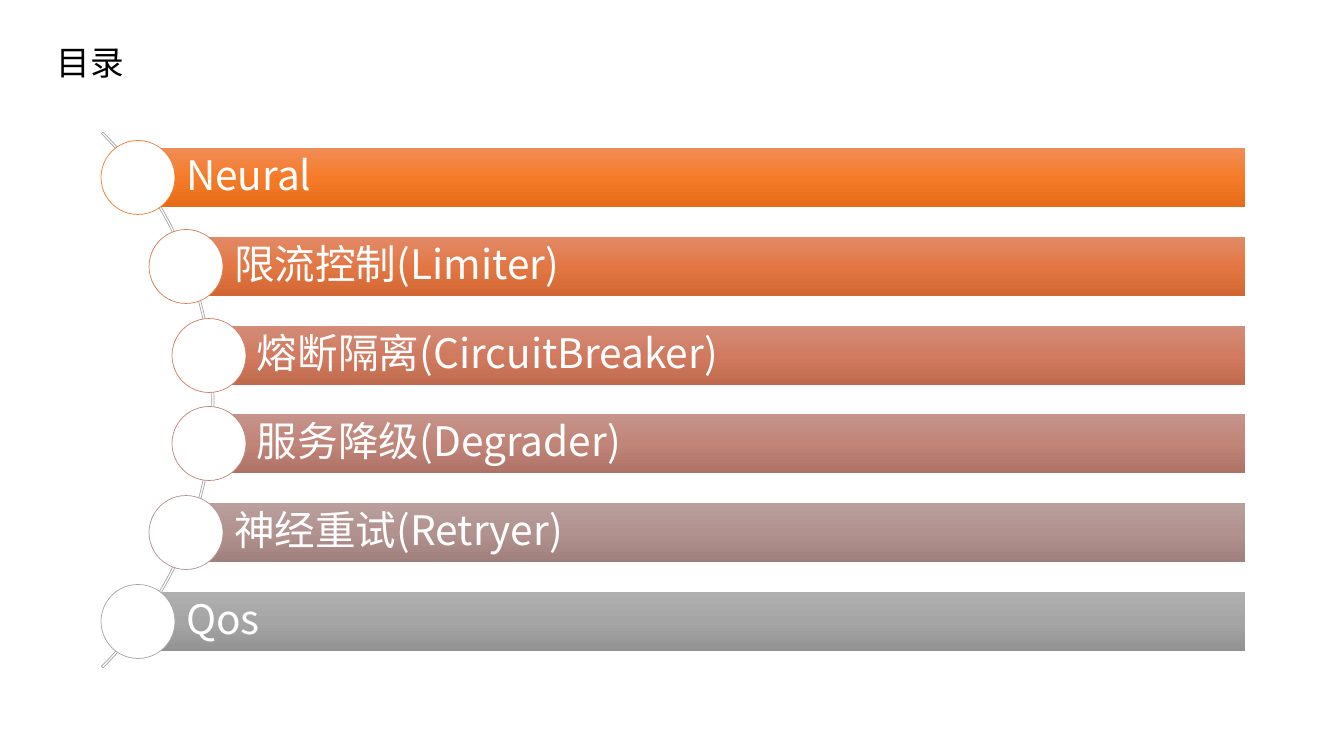
import copy
import pptx
import pptx.dml.color
import pptx.enum.shapes
import pptx.enum.text
import pptx.oxml
import pptx.oxml.ns
import pptx.util

SCALE = 914400 / 100.8  # EMU per pixel
THEME = {
    "font": "Noto Sans CJK SC",
    "title_size": 24,
    "item_size": 29,
    "title": "000000",
    "white": "FFFFFF",
    "arc": "A5A5A5",
    "line_width": 0.5,
}
# Label, circle centre, bar gradient from top to bottom, circle outline
ITEMS = [
    ("Neural", 138, ("F18C57", "F67B28", "E56C19"), "ED7D31"),
    ("限流控制(Limiter)", 186, ("E18A66", "E37744", "D26734"), "DC7A4B"),
    ("熔断隔离(CircuitBreaker)", 209, ("D28C78", "D17A5F", "C06A4E"), "CC7D64"),
    ("服务降级(Degrader)", 209, ("C5948B", "C18478", "AF7267"), "BD867B"),
    ("神经重试(Retryer)", 186, ("B9A09D", "B2928F", "A0807D"), "B09391"),
    ("Qos", 138, ("AFAFAF", "A5A5A5", "939393"), "A5A5A5"),
]
FIRST_TOP, PITCH, BAR_HEIGHT, BAR_RIGHT, CIRCLE = 148, 88.8, 59, 1245, 74

rgb = pptx.dml.color.RGBColor.from_string
kinds = pptx.enum.shapes.MSO_SHAPE
qn = pptx.oxml.ns.qn


def add_shape(kind, left, top, width, height, outline=None):
    shape = page.shapes.add_shape(kind, *[round(v * SCALE) for v in (left, top, width, height)])
    shape.shadow.inherit = False
    if outline:
        shape.line.color.rgb = rgb(outline)
        shape.line.width = pptx.util.Pt(THEME["line_width"])
    else:
        shape.line.fill.background()
    return shape


def write_text(box, text, size, color, left_inset):
    frame = box.text_frame
    frame.word_wrap = True
    frame.vertical_anchor = pptx.enum.text.MSO_ANCHOR.MIDDLE
    frame.margin_left = round(left_inset * SCALE)
    frame.margin_right = frame.margin_top = frame.margin_bottom = round(8 * SCALE)
    para = frame.paragraphs[0]
    para.alignment = pptx.enum.text.PP_ALIGN.LEFT
    para.line_spacing = 0.9
    span = para.add_run()
    span.text = text
    span.font.size = pptx.util.Pt(size)
    span.font.name = THEME["font"]
    span.font.color.rgb = rgb(color)
    east_asian = pptx.oxml.parse_xml(f'<a:ea {pptx.oxml.ns.nsdecls("a")} typeface="{THEME["font"]}"/>')
    span.font._element.find(qn("a:latin")).addnext(east_asian)


deck = pptx.Presentation()
deck.slide_width = round(1344 * SCALE)
deck.slide_height = round(756 * SCALE)
page = deck.slides.add_slide(deck.slide_layouts[6])

# Title
title = page.shapes.add_textbox(*[round(v * SCALE) for v in (47, 40, 1237, 50)])
write_text(title, "目录", THEME["title_size"], THEME["title"], 10)

# Arc behind the circles
arc = add_shape(kinds.BLOCK_ARC, -544, 21, 758, 758, THEME["arc"])
arc.fill.background()
for index, value in enumerate((189, 27, 0.003)):
    arc.adjustments[index] = value

# One bar and one circle for each item
for row, (label, center, gradient, outline) in enumerate(ITEMS):
    top = round(FIRST_TOP + row * PITCH)
    bar = add_shape(kinds.RECTANGLE, center, top, BAR_RIGHT - center, BAR_HEIGHT)
    bar.fill.gradient()
    bar.fill.gradient_angle = 270
    stop_list = bar._element.spPr.find(qn("a:gradFill")).find(qn("a:gsLst"))
    stop_list.append(copy.deepcopy(stop_list[-1]))
    for stop, position, color in zip(bar.fill.gradient_stops, (0, 0.5, 1), gradient):
        stop.position = position
        stop.color.rgb = rgb(color)
    write_text(bar, label, THEME["item_size"], THEME["white"], 48)

    circle_top = top + (BAR_HEIGHT - CIRCLE) / 2
    circle = add_shape(kinds.OVAL, center - CIRCLE / 2, circle_top, CIRCLE, CIRCLE, outline)
    circle.fill.solid()
    circle.fill.fore_color.rgb = rgb(THEME["white"])

deck.save("out.pptx")
